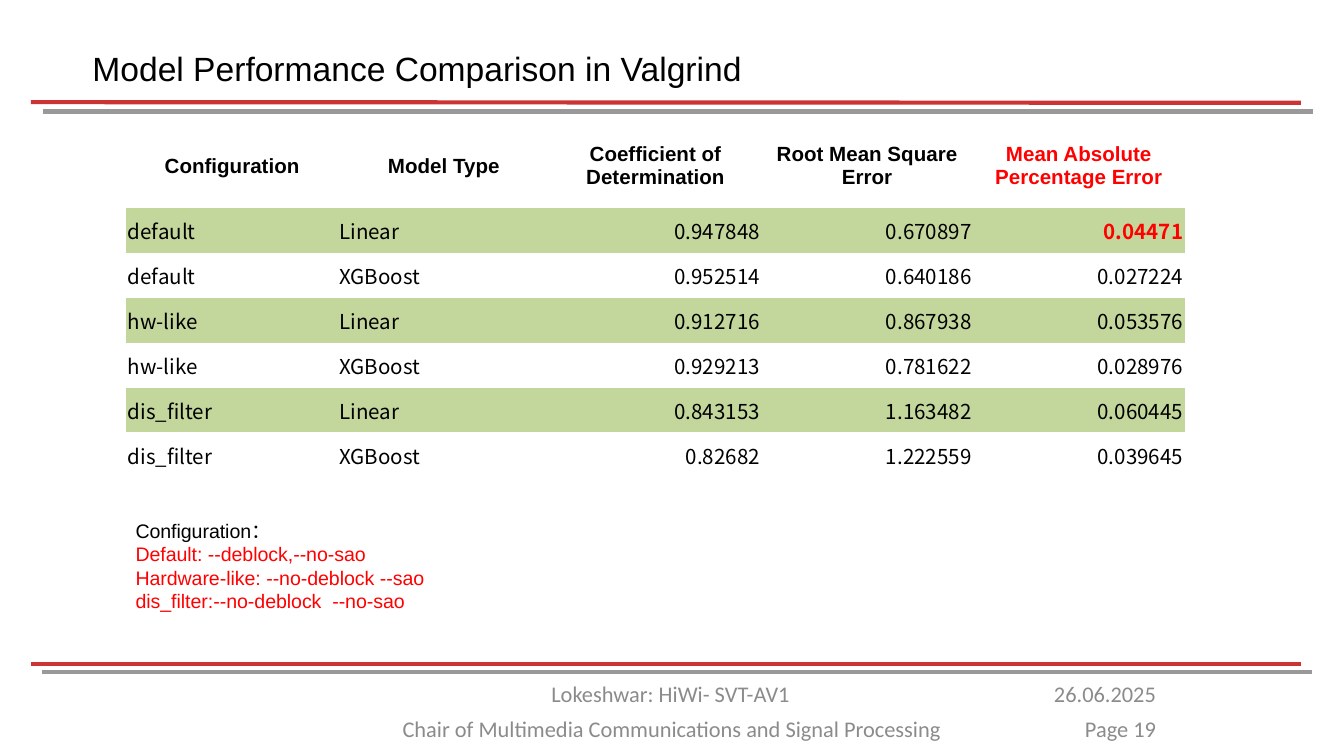
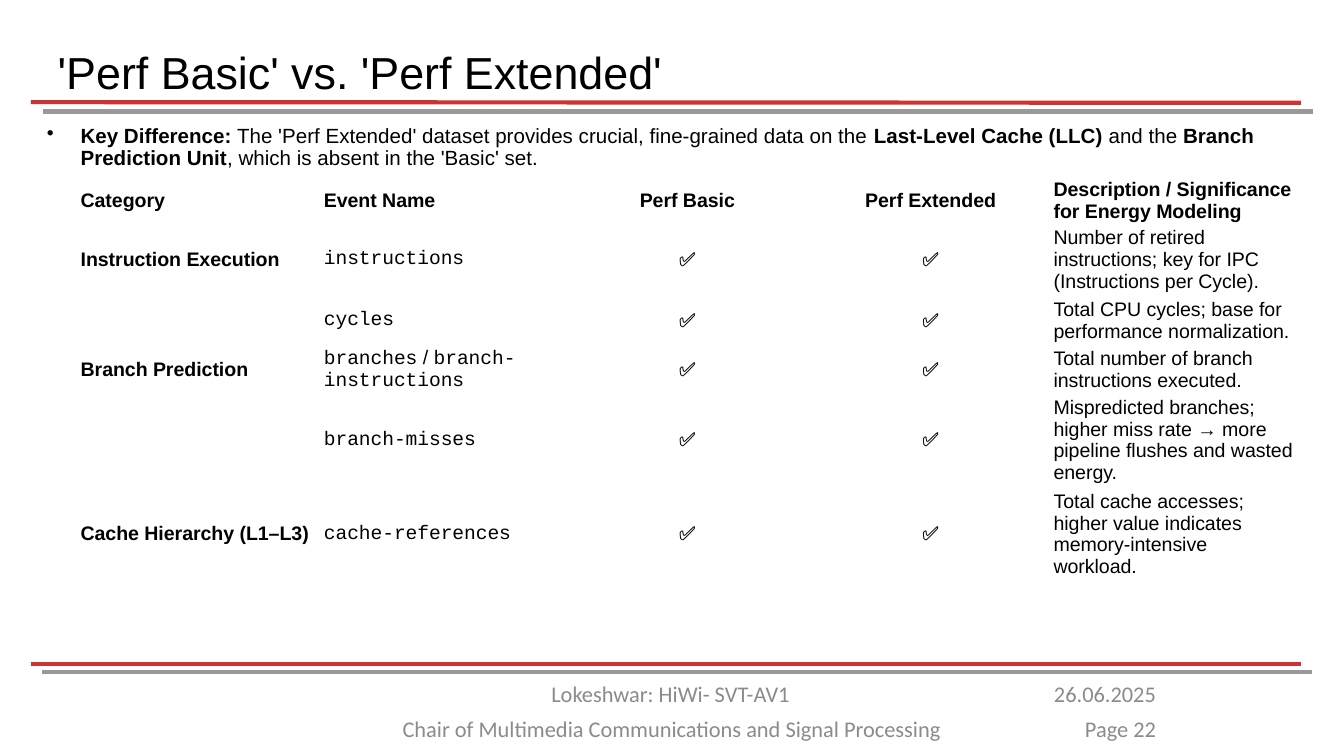
from lxml import etree
from pptx import Presentation
from pptx.dml.color import RGBColor
from pptx.enum.shapes import MSO_CONNECTOR
from pptx.enum.text import MSO_ANCHOR, PP_ALIGN
from pptx.oxml.ns import qn
from pptx.util import Emu, Pt

LEFT, CENTER, RIGHT = PP_ALIGN.LEFT, PP_ALIGN.CENTER, PP_ALIGN.RIGHT
TOP, MIDDLE = MSO_ANCHOR.TOP, MSO_ANCHOR.MIDDLE
STRAIGHT = MSO_CONNECTOR.STRAIGHT
EMU_PER_PX = 4572
PLAIN_TABLE = "{2D5ABB26-0587-4C30-8999-92F81FD0307C}"

BLACK, ALERT = "000000", "FF0000"
RULE_RED, RULE_GRAY = "CC3333", "999999"
FOOTER_GRAY, ROW_GREEN = "8B8B8B", "C3D69B"
SANS, FOOTER_FONT = "Arial", "Calibri"
DATA_FONT, CODE_FONT = "Noto Sans CJK SC", "Courier New"


def px(length):
    return Emu(length * EMU_PER_PX)


def rgb(value):
    return RGBColor.from_string(value)


def write(paragraph, text, size=11, font=SANS, color=BLACK, bold=False):
    for index, line in enumerate(text.split("\n")):
        if index:
            paragraph.add_line_break()
        run = paragraph.add_run()
        run.text = line
        run.font.size = Pt(size)
        run.font.name = font
        run.font.color.rgb = rgb(color)
        run.font.bold = bold


def set_margins(target, margins):
    (target.margin_left, target.margin_top,
     target.margin_right, target.margin_bottom) = map(px, margins)


class Deck:
    def __init__(self):
        self.presentation = Presentation()
        self.presentation.slide_width = px(2000)
        self.presentation.slide_height = px(1125)
        self.slide = None

    def new_slide(self, page):
        layout = self.presentation.slide_layouts[6]
        self.slide = self.presentation.slides.add_slide(layout)
        self.rule(46, 152, 153, RULE_RED)
        self.rule(64, 166, 166, RULE_GRAY)
        for left, top, width, align, text in (
            (520, 1054, 960, CENTER,
             "Chair of Multimedia Communications and Signal Processing"),
            (518, 1002, 960, CENTER, "Lokeshwar: HiWi- SVT-AV1"),
            (1536, 1002, 204, RIGHT, "26.06.2025"),
            (1504, 1054, 236, RIGHT, f"Page {page}"),
        ):
            self.text(left, top, width, 60, text, align=align, size=12,
                      font=FOOTER_FONT, color=FOOTER_GRAY)
        self.rule(46, 988, 988, RULE_RED)
        self.rule(62, 1000, 1000, RULE_GRAY)

    def rule(self, left, start, end, color):
        line = self.slide.shapes.add_connector(
            STRAIGHT, px(left), px(start), px(left + 1890), px(end))
        line.line.color.rgb = rgb(color)
        line.line.width = Pt(2.25)
        etree.SubElement(line.element.spPr, qn("a:effectLst"))

    def box(self, left, top, width, height, margins=(20, 10, 20, 10),
            anchor=TOP):
        shape = self.slide.shapes.add_textbox(
            px(left), px(top), px(width), px(height))
        frame = shape.text_frame
        frame.word_wrap = True
        frame.vertical_anchor = anchor
        set_margins(frame, margins)
        return frame

    def text(self, left, top, width, height, text, align=LEFT, **style):
        paragraph = self.box(left, top, width, height).paragraphs[0]
        paragraph.alignment = align
        write(paragraph, text, **style)

    def lines(self, left, top, width, height, lines, **style):
        frame = self.box(left, top, width, height)
        for index, (text, color) in enumerate(lines):
            paragraph = frame.add_paragraph() if index else frame.paragraphs[0]
            write(paragraph, text, color=color, **style)

    def centered(self, left, top, width, height, runs, bullet=False, **style):
        frame = self.box(left, top, width, height, (0, 0, 0, 0), MIDDLE)
        paragraph = frame.paragraphs[0]
        if bullet:
            properties = paragraph._p.get_or_add_pPr()
            properties.set("marL", str(px(50)))
            properties.set("indent", str(px(-50)))
            etree.SubElement(properties, qn("a:buChar"), char="•")
        paragraph.line_spacing = 0.9
        for text, bold in runs:
            write(paragraph, text, bold=bold, **style)

    def table(self, left, top, column_width, row_heights, column_count):
        shape = self.slide.shapes.add_table(
            len(row_heights), column_count, px(left), px(top),
            px(column_width * column_count), px(sum(row_heights)))
        table = shape.table
        table.first_row = table.horz_banding = False
        for style in shape.element.iter(qn("a:tableStyleId")):
            style.text = PLAIN_TABLE
        for column in table.columns:
            column.width = px(column_width)
        for row, height in zip(table.rows, row_heights):
            row.height = px(height)
        return table

    def cell(self, cell, runs, margins, align=LEFT, fill=None, **style):
        cell.vertical_anchor = MIDDLE
        set_margins(cell, margins)
        if fill:
            cell.fill.solid()
            cell.fill.fore_color.rgb = rgb(fill)
        else:
            cell.fill.background()
        paragraph = cell.text_frame.paragraphs[0]
        paragraph.alignment = align
        if not runs:
            paragraph.font.size = Pt(style["size"])
        for text, font in runs:
            write(paragraph, text, font=font, **style)


def build_model_comparison(deck):
    headers = ("Configuration", "Model Type", "Coefficient of Determination",
               "Root Mean Square Error", "Mean Absolute Percentage Error")
    results = (
        ("default", "Linear", "0.947848", "0.670897", "0.04471"),
        ("default", "XGBoost", "0.952514", "0.640186", "0.027224"),
        ("hw-like", "Linear", "0.912716", "0.867938", "0.053576"),
        ("hw-like", "XGBoost", "0.929213", "0.781622", "0.028976"),
        ("dis_filter", "Linear", "0.843153", "1.163482", "0.060445"),
        ("dis_filter", "XGBoost", "0.82682", "1.222559", "0.039645"),
    )
    deck.new_slide(19)
    deck.text(118, 62, 1134, 80, "Model Performance Comparison in Valgrind",
              size=18)
    table = deck.table(188, 185, 315, [124] + [67] * len(results),
                       len(headers))
    for column, header in enumerate(headers):
        deck.cell(table.cell(0, column), [(header, SANS)], (16, 8, 16, 8),
                  CENTER, bold=True, color=ALERT if column == 4 else BLACK)
    for row, values in enumerate(results, 1):
        for column, value in enumerate(values):
            highlighted = (row, column) == (1, 4)
            deck.cell(table.cell(row, column), [(value, DATA_FONT)],
                      (2, 2, 2, 0), RIGHT if column > 1 else LEFT,
                      ROW_GREEN if row % 2 else None, bold=highlighted,
                      color=ALERT if highlighted else BLACK)
    deck.lines(182, 762, 1638, 162, (
        ("Configuration：", BLACK),
        ("Default: --deblock,--no-sao\nHardware-like: --no-deblock --sao",
         ALERT),
        ("dis_filter:--no-deblock  --no-sao", ALERT),
    ), size=10.5)


def build_perf_comparison(deck):
    headers = ("Category", "Event Name", "Perf Basic", "Perf Extended",
               "Description / Significance for Energy Modeling")
    events = (
        ("Instruction Execution", ["instructions"],
         "Number of retired instructions; key for IPC "
         "(Instructions per Cycle)."),
        ("", ["cycles"],
         "Total CPU cycles; base for performance normalization."),
        ("Branch Prediction", ["branches", "branch-instructions"],
         "Total number of branch instructions executed."),
        ("", ["branch-misses"],
         "Mispredicted branches; higher miss rate → more pipeline flushes "
         "and wasted energy."),
        ("Cache Hierarchy (L1–L3)", ["cache-references"],
         "Total cache accesses; higher value indicates memory-intensive "
         "workload."),
    )
    deck.new_slide(22)
    deck.centered(86, 18, 1800, 188,
                  [("'Perf Basic' vs. 'Perf Extended'", False)], size=24)
    deck.centered(70, 138, 1800, 164, (
        ("Key Difference:", True),
        (" The 'Perf Extended' dataset provides crucial, fine-grained data "
         "on the ", False),
        ("Last-Level Cache (LLC)", True),
        (" and the ", False),
        ("Branch Prediction Unit", True),
        (", which is absent in the 'Basic' set.", False),
    ), bullet=True)
    table = deck.table(118, 264, 362, (62, 90, 76, 62, 120, 104),
                       len(headers))
    rows = [[[(header, SANS)] for header in headers]]
    for category, names, description in events:
        name_runs = [(names[0], CODE_FONT)]
        for name in names[1:]:
            name_runs += [(" / ", SANS), (name, CODE_FONT)]
        rows.append([[(category, SANS)] if category else [], name_runs,
                     [("✅", SANS)], [("✅", SANS)], [(description, SANS)]])
    for row, cells in enumerate(rows):
        for column, runs in enumerate(cells):
            deck.cell(table.cell(row, column), runs, (2, 0, 2, 0),
                      CENTER if column in (2, 3) else LEFT, size=10.5,
                      bold=row == 0 or column == 0)


def main():
    deck = Deck()
    build_model_comparison(deck)
    build_perf_comparison(deck)
    deck.presentation.save("out.pptx")


if __name__ == "__main__":
    main()
